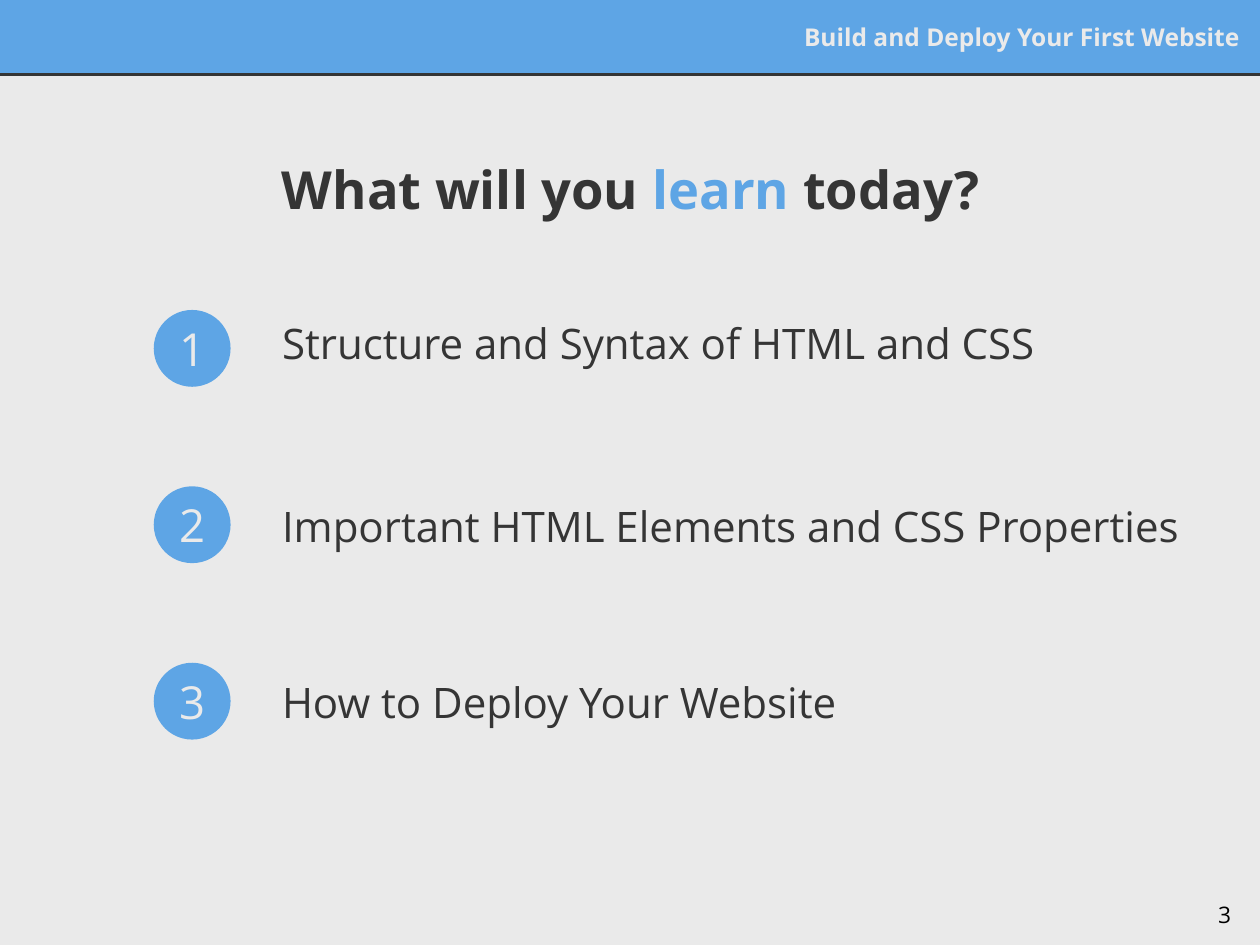
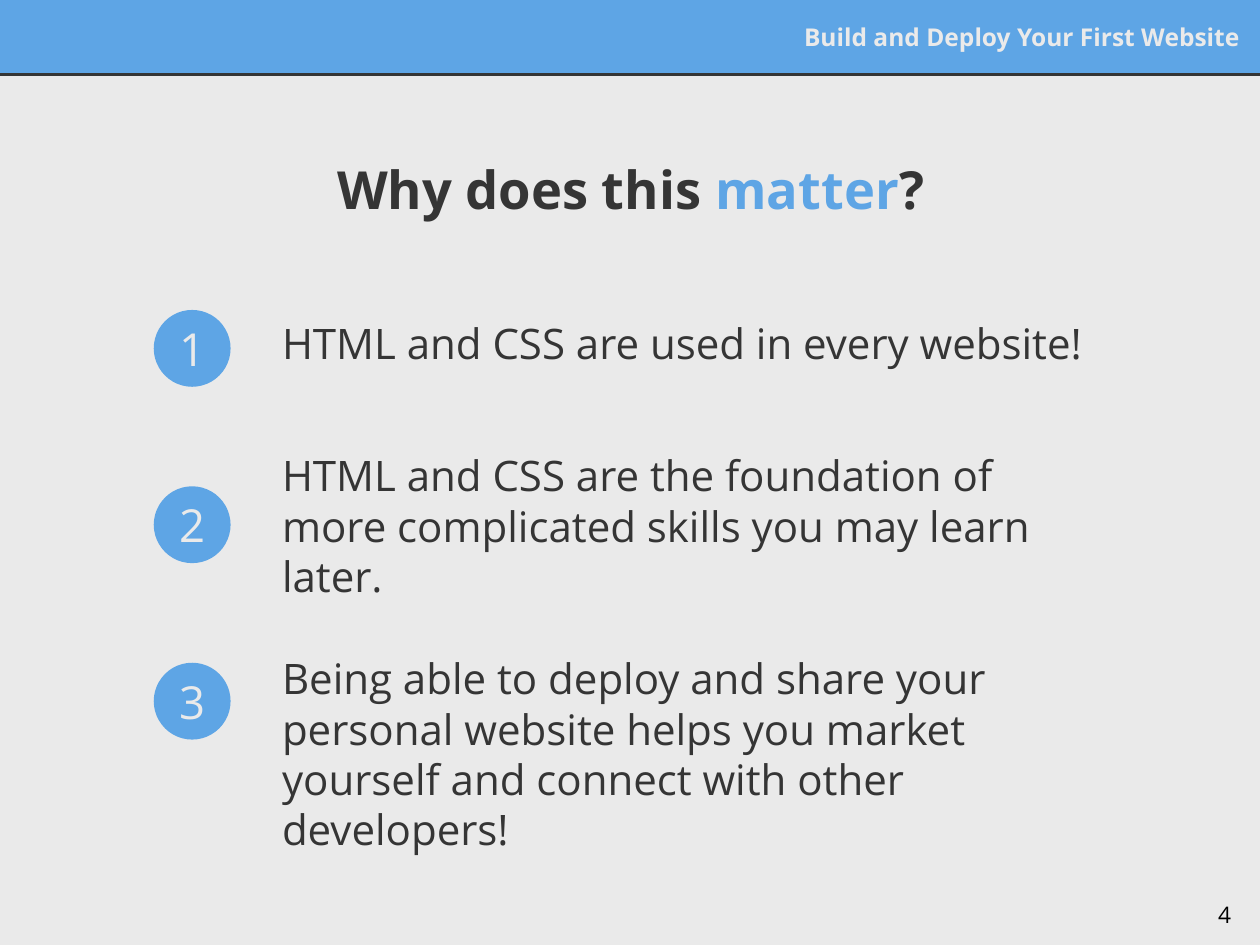
from dataclasses import dataclass

from pptx import Presentation
from pptx.dml.color import RGBColor
from pptx.enum.shapes import MSO_CONNECTOR, MSO_SHAPE
from pptx.enum.text import MSO_ANCHOR, MSO_AUTO_SIZE, PP_ALIGN
from pptx.oxml.ns import qn
from pptx.util import Inches, Pt

COURSE = "Build and Deploy Your First Website"
FIRST_PAGE = 3
# Title: before, highlighted word, after. Points: text, box width, box height.
SLIDES = [
    {
        "title": ("What will you ", "learn", " today?"),
        "points": [
            ("Structure and Syntax of HTML and CSS", 6.64, 0.82),
            ("Important HTML Elements and CSS Properties", 7.56, 0.82),
            ("How to Deploy Your Website", 6.64, 0.82),
        ],
    },
    {
        "title": ("Why does this ", "matter", "?"),
        "points": [
            ("HTML and CSS are used in every website!", 6.64, 0.82),
            ("HTML and CSS are the foundation of more complicated skills "
             "you may learn later.", 6.64, 0.82),
            ("Being able to deploy and share your personal website helps you "
             "market yourself and connect with other developers!", 6.64, 1.64),
        ],
    },
]


@dataclass(frozen=True)
class Theme:
    font: str = "Open Sans"
    paper: RGBColor = RGBColor(0xEA, 0xEA, 0xEA)
    accent: RGBColor = RGBColor(0x5E, 0xA5, 0xE5)
    ink: RGBColor = RGBColor(0x35, 0x35, 0x35)
    black: RGBColor = RGBColor(0, 0, 0)
    title: int = 30
    number: int = 26
    point: int = 24
    course: int = 14
    page: int = 13


THEME = Theme()
WIDTH, HEIGHT = 10, 7.5
BAND_HEIGHT = 0.59
TITLE_BOX = (0.18, 0.94, 9.65, 1.12)
COURSE_BOX = (5.48, 0.1, 4.46, 0.38)
PAGE_BOX = (9.27, 7.05, 0.6, 0.45)
BADGE_LEFT, BADGE_TOP, BADGE_SIZE, BADGE_STEP = 1.22, 2.46, 0.61, 1.4
POINT_LEFT = 2.14
POINT_TOPS = (2.31, 3.76, 5.16)


def inches(box):
    return [Inches(length) for length in box]


def write(shape, parts, size, color, align=PP_ALIGN.LEFT, bold=False,
          anchor=MSO_ANCHOR.MIDDLE):
    """Fill a shape with one paragraph made of the given runs; return the runs."""
    frame = shape.text_frame
    frame.word_wrap = True
    frame.auto_size = MSO_AUTO_SIZE.NONE
    frame.vertical_anchor = anchor
    frame.margin_left = frame.margin_right = Inches(0.1)
    frame.margin_top = frame.margin_bottom = Inches(0.1)
    paragraph = frame.paragraphs[0]
    paragraph.alignment = align
    font = paragraph.font
    font.name, font.size, font.bold = THEME.font, Pt(size), bold
    font.color.rgb = color
    runs = []
    for part in parts:
        run = paragraph.add_run()
        run.text = part
        runs.append(run)
    return runs


def add_text(slide, box, text, size, color, **style):
    write(slide.shapes.add_textbox(*inches(box)), [text], size, color, **style)


def add_filled(slide, preset, box):
    shape = slide.shapes.add_shape(preset, *inches(box))
    shape.shadow.inherit = False
    shape.fill.solid()
    shape.fill.fore_color.rgb = THEME.accent
    shape.line.fill.background()
    return shape


def dress_layout(layout, slide):
    """Draw the band on a slide, then move its parts to the layout."""
    band = add_filled(slide, MSO_SHAPE.RECTANGLE, (0, 0, WIDTH, BAND_HEIGHT))
    band.line.color.rgb = THEME.accent
    band.line.width = Pt(0.75)
    rule = slide.shapes.add_connector(
        MSO_CONNECTOR.STRAIGHT, *inches((0, BAND_HEIGHT, WIDTH, BAND_HEIGHT)))
    rule.line.color.rgb = THEME.ink
    rule.line.width = Pt(1.5)
    properties = rule.element.spPr
    properties.append(properties.makeelement(qn("a:effectLst"), {}))
    course = slide.shapes.add_textbox(*inches(COURSE_BOX))
    write(course, [COURSE], THEME.course, THEME.paper, PP_ALIGN.RIGHT, bold=True)
    for part in (band, rule, course):
        layout.shapes.element.append(part.element)
    title = layout.placeholders[0]
    title.left, title.top, title.width, title.height = inches(TITLE_BOX)


def fill_slide(slide, content, page):
    before, highlight, after = write(
        slide.shapes.title, content["title"], THEME.title, THEME.ink,
        PP_ALIGN.CENTER, bold=True)
    highlight.font.color.rgb = THEME.accent
    for index in range(len(content["points"])):
        top = BADGE_TOP + index * BADGE_STEP
        badge = add_filled(slide, MSO_SHAPE.OVAL,
                           (BADGE_LEFT, top, BADGE_SIZE, BADGE_SIZE))
        write(badge, [str(index + 1)], THEME.number, THEME.paper, PP_ALIGN.CENTER)
    for top, (point, width, height) in zip(POINT_TOPS, content["points"]):
        add_text(slide, (POINT_LEFT, top, width, height), point,
                 THEME.point, THEME.ink)
    add_text(slide, PAGE_BOX, str(page), THEME.page, THEME.black,
             align=PP_ALIGN.RIGHT, anchor=MSO_ANCHOR.TOP)


def main():
    deck = Presentation()
    deck.slide_width, deck.slide_height = inches((WIDTH, HEIGHT))
    paper = deck.slide_master.background.fill
    paper.solid()
    paper.fore_color.rgb = THEME.paper
    layout = deck.slide_layouts.get_by_name("Title Only")
    slides = [deck.slides.add_slide(layout) for _ in SLIDES]
    dress_layout(layout, slides[0])
    for page, (slide, content) in enumerate(zip(slides, SLIDES), FIRST_PAGE):
        fill_slide(slide, content, page)
    deck.save("out.pptx")


if __name__ == "__main__":
    main()
